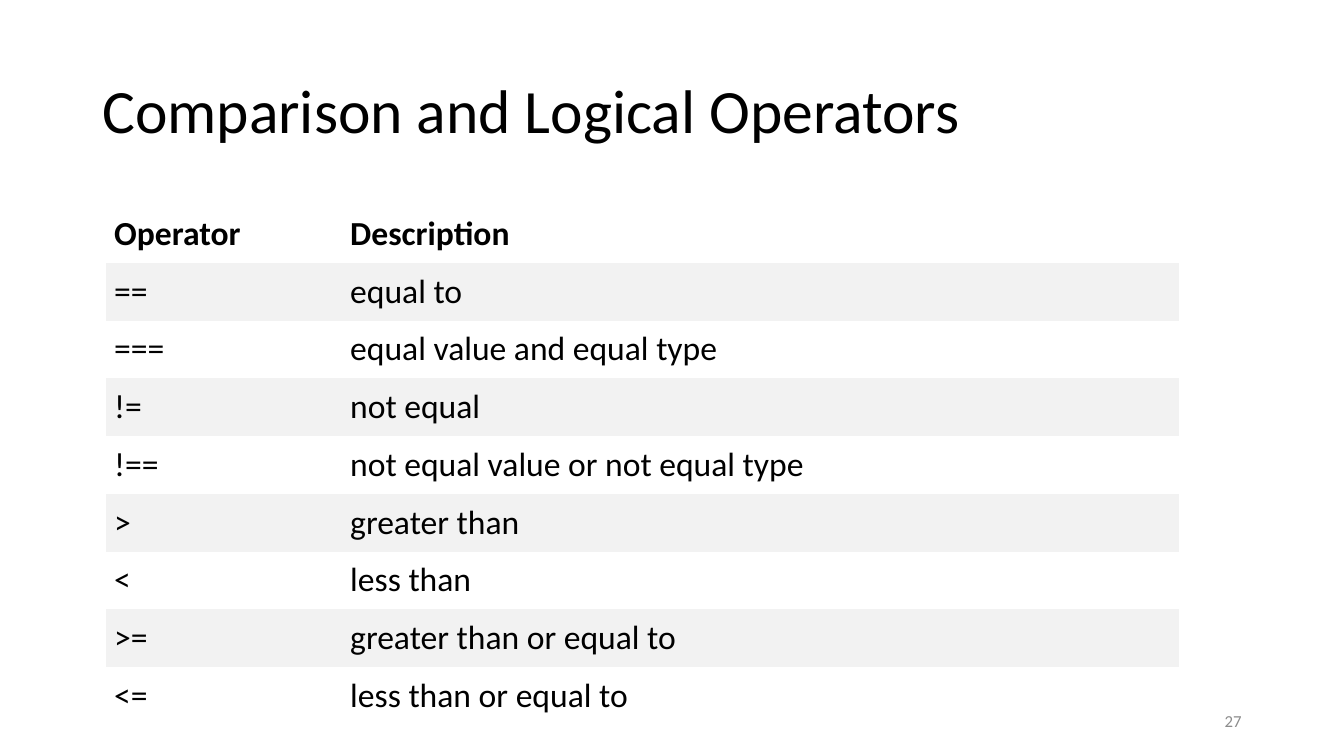
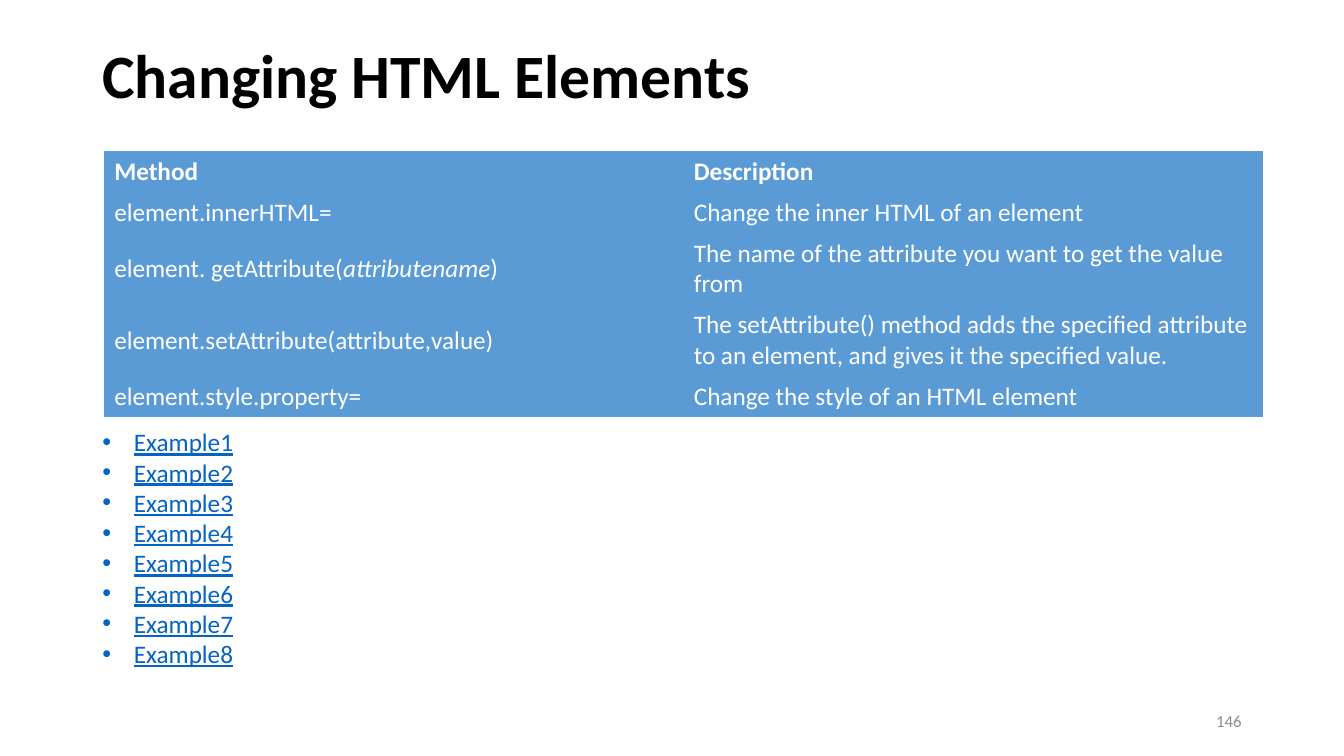
from lxml.etree import SubElement
from pptx import Presentation
from pptx.dml.color import RGBColor
from pptx.enum.text import MSO_ANCHOR, MSO_AUTO_SIZE, PP_ALIGN
from pptx.oxml.ns import qn
from pptx.util import Inches, Pt

COLUMNS, ROWS = 160, 90
UNIT = Inches(1) / 12
FONT = "Calibri"
NO_GRID_STYLE = "{2D5ABB26-0587-4C30-8999-92F81FD0307C}"
COLORS = {
    "ink": "000000",
    "paper": "FFFFFF",
    "band": "F2F2F2",
    "blue": "5B9BD5",
    "link": "0563C1",
    "number": "8C8C8C",
}


def grid(count):
    """Turn a number of grid columns or rows into a length."""
    return round(count * UNIT)


def color(name):
    """Look up a named colour."""
    return RGBColor.from_string(COLORS[name])


def add_bullet(paragraph, indent):
    """Give a paragraph a hanging round bullet."""
    properties = paragraph._p.get_or_add_pPr()
    properties.set("marL", str(grid(indent)))
    properties.set("indent", str(-grid(indent)))
    SubElement(properties, qn("a:buFont"), typeface="Arial")
    SubElement(properties, qn("a:buChar"), char="•")


def write(frame, lines, size=18, ink="ink", bold=False, underline=False,
          align=PP_ALIGN.LEFT, spacing=None, bullet_indent=None):
    """Fill a text frame, one paragraph a line; *asterisks* mark italics."""
    for index, line in enumerate(lines):
        paragraph = frame.add_paragraph() if index else frame.paragraphs[0]
        paragraph.alignment = align
        if spacing:
            paragraph.line_spacing = spacing
        if bullet_indent:
            add_bullet(paragraph, bullet_indent)
        for position, part in enumerate(line.split("*")):
            run = paragraph.add_run()
            run.text = part
            font = run.font
            font.name, font.size, font.bold = FONT, Pt(size), bold
            font.italic = position % 2 == 1
            font.underline = underline
            font.color.rgb = color(ink)


class Deck:
    """Holds the shared style and the current slide."""

    def __init__(self):
        """Start an empty widescreen presentation."""
        self.presentation = Presentation()
        self.presentation.slide_width = grid(COLUMNS)
        self.presentation.slide_height = grid(ROWS)
        self.slide = None

    def start_slide(self, title, number, title_top, bold=False):
        """Add a blank slide with its title and slide number."""
        layout = self.presentation.slide_layouts[6]
        self.slide = self.presentation.slides.add_slide(layout)
        self.text(11, title_top, 138, 17.4, [title], anchor=MSO_ANCHOR.MIDDLE,
                  size=44, bold=bold, spacing=0.9)
        self.text(113, 83.4, 36, 4.8, [str(number)], anchor=MSO_ANCHOR.MIDDLE,
                  size=12, ink="number", align=PP_ALIGN.RIGHT)

    def text(self, left, top, width, height, lines, anchor=MSO_ANCHOR.TOP,
             grow=False, **style):
        """Add a wrapping text box."""
        box = self.slide.shapes.add_textbox(*map(grid, (left, top, width, height)))
        frame = box.text_frame
        frame.word_wrap = True
        frame.auto_size = MSO_AUTO_SIZE.SHAPE_TO_FIT_TEXT if grow else MSO_AUTO_SIZE.NONE
        frame.vertical_anchor = anchor
        write(frame, lines, **style)

    def table(self, left, top, widths, heights, rows, fills,
              anchor=MSO_ANCHOR.TOP, margin=None, **style):
        """Add a borderless table with a bold first row and cycling row fills."""
        graphic = self.slide.shapes.add_table(
            len(rows), len(widths), grid(left), grid(top),
            grid(sum(widths)), grid(sum(heights)))
        for style_id in graphic._element.iter(qn("a:tableStyleId")):
            style_id.text = NO_GRID_STYLE
        table = graphic.table
        table.first_row = table.horz_banding = False
        for column, width in zip(table.columns, widths):
            column.width = grid(width)
        for index, (row, height, texts) in enumerate(zip(table.rows, heights, rows)):
            row.height = grid(height)
            for cell, text in zip(row.cells, texts):
                cell.fill.solid()
                cell.fill.fore_color.rgb = color(fills[index % len(fills)])
                cell.vertical_anchor = anchor
                if margin:
                    cell.margin_left = cell.margin_right = grid(margin)
                    cell.margin_top = cell.margin_bottom = grid(margin)
                write(cell.text_frame, [text], bold=index == 0, **style)


def build_operators(deck):
    """Build the slide on comparison operators."""
    operators = [
        ("Operator", "Description"),
        ("==", "equal to"),
        ("===", "equal value and equal type"),
        ("!=", "not equal"),
        ("!==", "not equal value or not equal type"),
        (">", "greater than"),
        ("<", "less than"),
        (">=", "greater than or equal to"),
        ("<=", "less than or equal to"),
    ]
    deck.start_slide("Comparison and Logical Operators", 27, title_top=4.8)
    deck.table(12.6, 24.4, [28.1, 99.7], [6.88] * len(operators), operators,
               fills=["paper", "band"], margin=1, size=24)


def build_elements(deck):
    """Build the slide on changing HTML elements."""
    methods = [
        ("Method", "Description"),
        ("element.innerHTML=", "Change the inner HTML of an element"),
        ("element. getAttribute(*attributename*)",
         "The name of the attribute you want to get the value from"),
        ("element.setAttribute(attribute,value)",
         "The setAttribute() method adds the specified attribute to an element, "
         "and gives it the specified value."),
        ("element.style.property=", "Change the style of an HTML element"),
    ]
    one_line, two_lines = 4.86, 8.52
    deck.start_slide("Changing HTML Elements", 146, title_top=0.6, bold=True)
    deck.table(12.4, 18, [69, 69],
               [one_line, one_line, two_lines, two_lines, one_line], methods,
               fills=["blue"], anchor=MSO_ANCHOR.MIDDLE, ink="paper")
    deck.text(11, 50.2, 139.3, 30.2, [f"Example{number}" for number in range(1, 9)],
              grow=True, ink="link", underline=True, bullet_indent=3.75)


deck = Deck()
build_operators(deck)
build_elements(deck)
deck.presentation.save("out.pptx")
